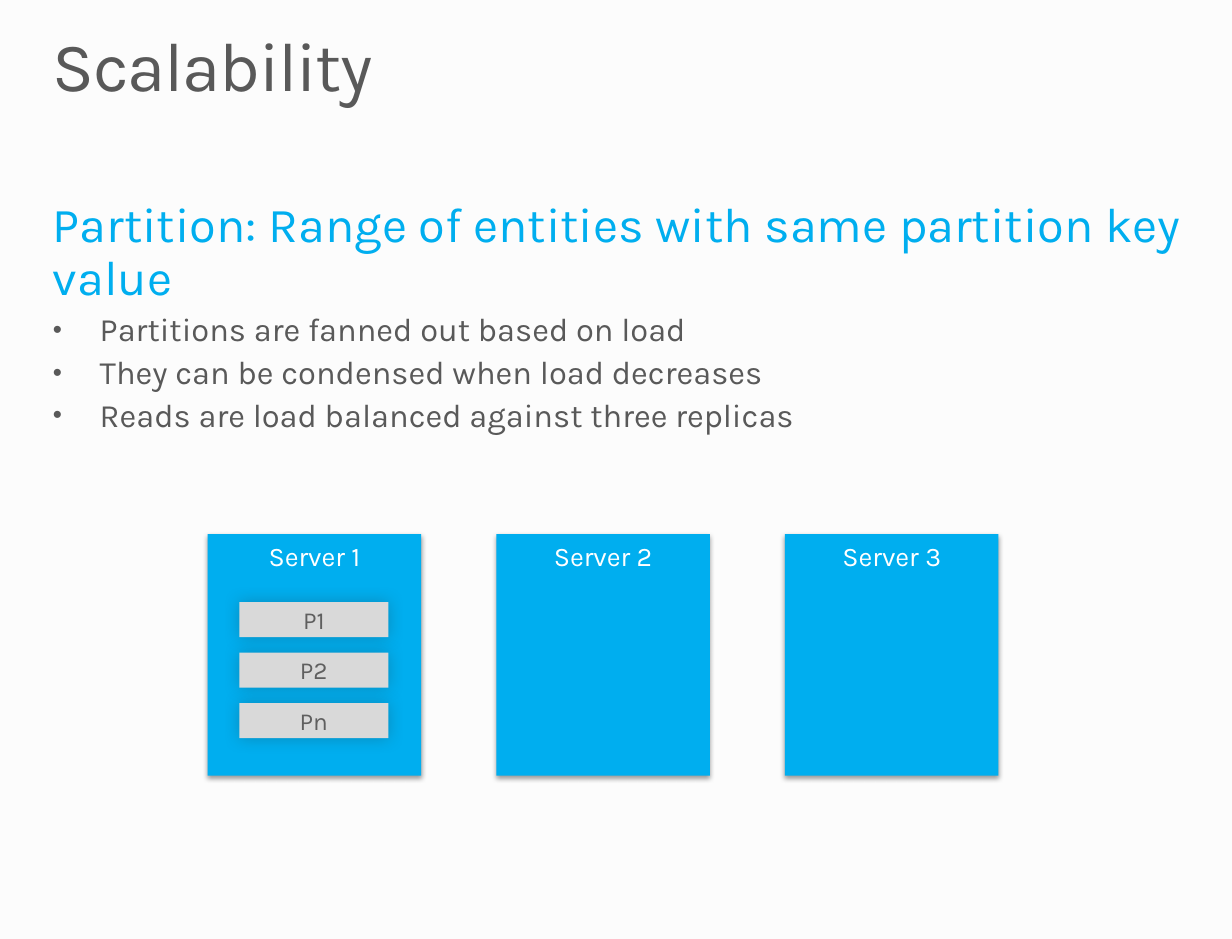
from dataclasses import dataclass

from lxml.etree import SubElement
from pptx import Presentation
from pptx.dml.color import RGBColor
from pptx.enum.shapes import MSO_SHAPE as Preset
from pptx.enum.text import MSO_ANCHOR as Anchor, PP_ALIGN as Align
from pptx.oxml.ns import qn
from pptx.util import Emu, Pt

PX = 9144  # 100 px to the inch
FONT = "Karla"
COLORS = {
    "background": "FCFCFC",
    "text": "595959",
    "accent": "00AEEF",
    "white": "FFFFFF",
    "partition": "D9D9D9",
    "partition_text": "5F5F5F",
    "server_shadow": "000000",
    "partition_shadow": "292929",
}
BULLETS = [
    "Partitions are fanned out based on load",
    "They can be condensed when load decreases",
    "Reads are load balanced against three replicas",
]
SERVERS = ["Server 1", "Server 2", "Server 3"]
PARTITIONS = ["P1", "P2", "Pn"]


@dataclass(frozen=True)
class Shadow:
    color: str
    opacity: int
    blur: float
    distance: float


@dataclass(frozen=True)
class BoxStyle:
    width: int
    height: int
    fill: str
    ink: str
    size: float
    anchor: Anchor
    shadow: Shadow


SERVER = BoxStyle(182, 206, "accent", "white", 16.5, Anchor.TOP,
                  Shadow("server_shadow", 38, 3.1, 1.6))
PARTITION = BoxStyle(127, 30, "partition", "partition_text", 15, Anchor.MIDDLE,
                     Shadow("partition_shadow", 26, 10, 0))


def px(length: int) -> Emu:
    return Emu(length * PX)


def rgb(name: str) -> RGBColor:
    return RGBColor.from_string(COLORS[name])


def set_font(paragraph, size: float, color: str) -> None:
    paragraph.font.name = FONT
    paragraph.font.size = Pt(size)
    paragraph.font.color.rgb = rgb(color)


def add_text_frame(slide, left: int, top: int, width: int, height: int):
    frame = slide.shapes.add_textbox(px(left), px(top), px(width), px(height)).text_frame
    frame.word_wrap = True
    frame.margin_left = frame.margin_right = frame.margin_top = frame.margin_bottom = 0
    return frame


def add_bullet(paragraph, indent: int) -> None:
    properties = paragraph._p.get_or_add_pPr()
    properties.set("marL", str(px(indent)))
    properties.set("indent", str(px(-indent)))
    SubElement(properties, qn("a:buSzPct"), val="80000")
    SubElement(properties, qn("a:buFont"), typeface="Arial")
    SubElement(properties, qn("a:buChar"), char="•")


def add_shadow(shape, shadow: Shadow) -> None:
    shape.shadow.inherit = False
    effects = shape._element.spPr.find(qn("a:effectLst"))
    outer = SubElement(effects, qn("a:outerShdw"), blurRad=str(Pt(shadow.blur)),
                       dist=str(Pt(shadow.distance)), dir="5400000", rotWithShape="0")
    color = SubElement(outer, qn("a:srgbClr"), val=COLORS[shadow.color])
    SubElement(color, qn("a:alpha"), val=str(shadow.opacity * 1000))


def add_box(slide, label: str, left: int, top: int, style: BoxStyle) -> None:
    box = slide.shapes.add_shape(Preset.RECTANGLE, px(left), px(top),
                                 px(style.width), px(style.height))
    box.fill.solid()
    box.fill.fore_color.rgb = rgb(style.fill)
    box.line.fill.background()
    add_shadow(box, style.shadow)
    box.text_frame.vertical_anchor = style.anchor
    paragraph = box.text_frame.paragraphs[0]
    paragraph.text = label
    paragraph.alignment = Align.CENTER
    set_font(paragraph, style.size, style.ink)


def add_title(slide) -> None:
    title = add_text_frame(slide, 45, 27, 960, 64).paragraphs[0]
    title.text = "Scalability"
    title.line_spacing = 0.9
    set_font(title, 42.5, "text")
    title.runs[0]._r.get_or_add_rPr().set("spc", "-80")


def add_body(slide) -> None:
    body = add_text_frame(slide, 45, 171, 989, 156)
    heading = body.paragraphs[0]
    heading.text = "Partition: Range of entities with same partition key value"
    heading.line_spacing = 0.9
    set_font(heading, 29.9, "accent")
    for line in BULLETS:
        bullet = body.add_paragraph()
        bullet.text = line
        bullet.line_spacing = 0.9
        bullet.space_before = Pt(4.7)
        add_bullet(bullet, 40)
        set_font(bullet, 20, "text")


def main() -> None:
    presentation = Presentation()
    presentation.slide_width, presentation.slide_height = px(1050), px(800)
    slide = presentation.slides.add_slide(presentation.slide_layouts[6])
    slide.background.fill.solid()
    slide.background.fill.fore_color.rgb = rgb("background")

    add_title(slide)
    add_body(slide)
    for column, server in enumerate(SERVERS):
        add_box(slide, server, 177 + column * 246, 455, SERVER)
    for row, partition in enumerate(PARTITIONS):
        add_box(slide, partition, 204, 513 + row * 43, PARTITION)

    presentation.save("out.pptx")


if __name__ == "__main__":
    main()
